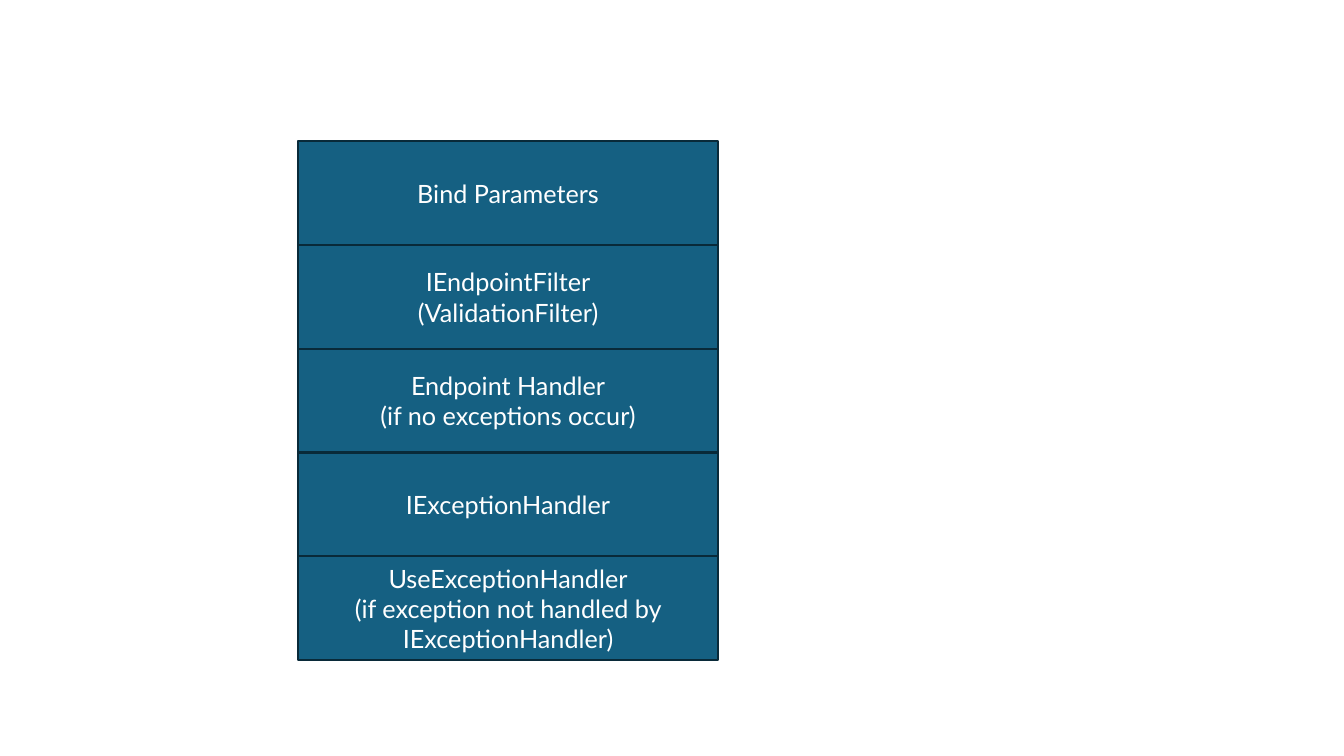
from pptx import Presentation
from pptx.dml.color import RGBColor
from pptx.enum.shapes import MSO_SHAPE
from pptx.enum.text import MSO_ANCHOR, PP_ALIGN
from pptx.util import Inches, Pt

RECT = MSO_SHAPE.RECTANGLE
MIDDLE = MSO_ANCHOR.MIDDLE
CENTER = PP_ALIGN.CENTER

BLUE = RGBColor(0x15, 0x60, 0x82)
NAVY = RGBColor(0x09, 0x2A, 0x39)
WHITE = RGBColor(0xFF, 0xFF, 0xFF)

LEFT, TOP = 2.96, 1.4
WIDTH, HEIGHT = 4.16, 1.03
FONT = {"name": "Lato", "size": Pt(18)}

STEPS = [
    ["Bind Parameters"],
    ["IEndpointFilter", "(ValidationFilter)"],
    ["Endpoint Handler", "(if no exceptions occur)"],
    ["IExceptionHandler"],
    ["UseExceptionHandler", "(if exception not handled by IExceptionHandler)"],
]

deck = Presentation()
deck.slide_width = Inches(13.33)
deck.slide_height = Inches(7.5)
slide = deck.slides.add_slide(deck.slide_layouts[6])

for row, lines in enumerate(STEPS):
    step = slide.shapes.add_shape(
        RECT, Inches(LEFT), Inches(TOP + row * HEIGHT), Inches(WIDTH), Inches(HEIGHT)
    )
    step.shadow.inherit = False
    step.fill.solid()
    step.fill.fore_color.rgb = BLUE
    step.line.color.rgb = NAVY
    step.line.width = Pt(1.5)

    frame = step.text_frame
    frame.word_wrap = True
    frame.vertical_anchor = MIDDLE
    frame.text = "\n".join(lines)
    for para in frame.paragraphs:
        para.alignment = CENTER
        font = para.runs[0].font
        font.color.rgb = WHITE
        for key, value in FONT.items():
            setattr(font, key, value)

deck.save("out.pptx")
